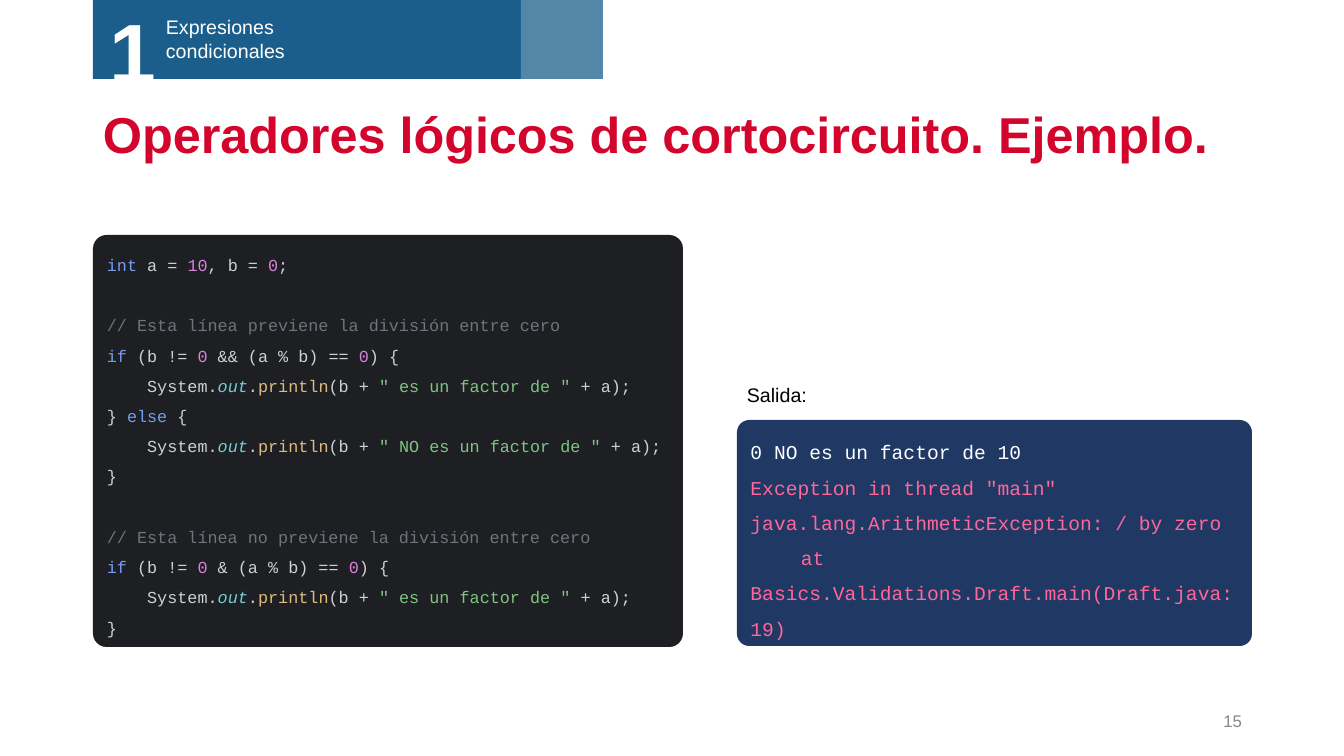
from dataclasses import dataclass
from typing import NamedTuple

from lxml.etree import SubElement
from pptx import Presentation
from pptx.dml.color import RGBColor
from pptx.enum.shapes import MSO_SHAPE as Shape
from pptx.enum.text import MSO_ANCHOR as Anchor, PP_ALIGN as Align
from pptx.oxml.ns import qn
from pptx.util import Emu, Pt

EMU_PER_PX = 12192000 / 1344


@dataclass(frozen=True)
class Theme:
    sans: str = "Arial"
    mono: str = "Courier New"
    title: str = "D3052C"
    band: str = "1B5E8B"
    white: str = "FFFFFF"
    black: str = "000000"
    page: str = "888888"
    editor: str = "1E1F22"
    console: str = "203864"
    error: str = "FF6699"
    keyword: str = "749DED"
    plain: str = "CED0D6"
    number: str = "D981DE"
    comment: str = "6F737A"
    field: str = "72CFD6"
    method: str = "DEBC7E"
    string: str = "7EC482"
    title_size: int = 36
    section_size: int = 60
    body_size: int = 14
    small_size: int = 12


THEME = Theme()


class Box(NamedTuple):
    left: int
    top: int
    width: int
    height: int


class Token(NamedTuple):
    text: str
    color: str = THEME.plain
    italic: bool = False


@dataclass(frozen=True)
class Panel:
    box: Box
    fill: str
    kind: Shape = Shape.RECTANGLE
    corner: float = 0
    opacity: int = 100


@dataclass(frozen=True)
class Label:
    box: Box
    text: str
    size: int
    color: str
    bold: bool = False
    align: Align = Align.LEFT
    anchor: Anchor = Anchor.TOP
    spacing: float = 1.0
    wrap: bool = True


def px(length: int) -> Emu:
    return Emu(round(length * EMU_PER_PX))


def style(paragraph, font: str, size: int, color: str, spacing: float) -> None:
    paragraph.line_spacing = spacing
    paragraph.font.name = font
    paragraph.font.size = Pt(size)
    paragraph.font.color.rgb = RGBColor.from_string(color)


def draw_panel(shapes, panel: Panel):
    shape = shapes.add_shape(panel.kind, *map(px, panel.box))
    shape.shadow.inherit = False
    shape.line.fill.background()
    shape.fill.solid()
    shape.fill.fore_color.rgb = RGBColor.from_string(panel.fill)
    if panel.corner:
        shape.adjustments[0] = panel.corner
    if panel.opacity < 100:
        tint = shape.fill._xPr.find(".//" + qn("a:srgbClr"))
        SubElement(tint, qn("a:alpha"), val=str(panel.opacity * 1000))
    return shape


def draw_label(shapes, label: Label) -> None:
    frame = shapes.add_textbox(*map(px, label.box)).text_frame
    frame.word_wrap = label.wrap
    frame.vertical_anchor = label.anchor
    paragraph = frame.paragraphs[0]
    paragraph.text = label.text
    paragraph.alignment = label.align
    style(paragraph, THEME.sans, label.size, label.color, label.spacing)
    paragraph.font.bold = label.bold


def condition(operator: str) -> list[Token]:
    return [
        Token("if ", THEME.keyword), Token("(b != "), Token("0 ", THEME.number),
        Token(f"{operator} (a % b) == "), Token("0", THEME.number), Token(") {"),
    ]


def print_call(message: str) -> list[Token]:
    return [
        Token("    System."), Token("out", THEME.field, True), Token("."),
        Token("println", THEME.method), Token("(b + "),
        Token(f'" {message} " ', THEME.string), Token("+ a);"),
    ]


CODE: list[list[Token]] = [
    [Token("int ", THEME.keyword), Token("a = "), Token("10", THEME.number),
     Token(", b = "), Token("0", THEME.number), Token(";")],
    [],
    [Token("// Esta línea previene la división entre cero", THEME.comment)],
    condition("&&"),
    print_call("es un factor de"),
    [Token("} "), Token("else ", THEME.keyword), Token("{")],
    print_call("NO es un factor de"),
    [Token("}")],
    [],
    [Token("// Esta línea no previene la división entre cero", THEME.comment)],
    condition("&"),
    print_call("es un factor de"),
    [Token("}")],
]

OUTPUT = [
    Token("0 NO es un factor de 10", THEME.white),
    Token('Exception in thread "main" java.lang.ArithmeticException: / by zero', THEME.error),
    Token("\tat Basics.Validations.Draft.main(Draft.java:19)", THEME.error),
]

BAND = Panel(Box(93, -1, 510, 80), THEME.band)
BAND_END = Panel(Box(521, -1, 82, 80), THEME.white, opacity=25)
EDITOR = Panel(Box(93, 235, 590, 412), THEME.editor, Shape.ROUNDED_RECTANGLE, 0.033)
CONSOLE = Panel(Box(737, 420, 515, 226), THEME.console, Shape.ROUNDED_RECTANGLE, 0.054)

LABELS = [
    Label(Box(93, 94, 1159, 87), "Operadores lógicos de cortocircuito. Ejemplo.",
          THEME.title_size, THEME.title, bold=True, anchor=Anchor.MIDDLE, spacing=0.9),
    Label(Box(950, 701, 302, 40), "15", THEME.small_size, THEME.page,
          align=Align.RIGHT, anchor=Anchor.MIDDLE),
    Label(Box(156, 10, 357, 57), "Expresiones\vcondicionales", THEME.body_size, THEME.white),
    Label(Box(100, -5, 113, 112), "1", THEME.section_size, THEME.white, bold=True),
    Label(Box(737, 378, 81, 34), "Salida:", THEME.body_size, THEME.black, wrap=False),
]


def write_code(frame) -> None:
    frame.word_wrap = True
    frame.vertical_anchor = Anchor.MIDDLE
    paragraph = frame.paragraphs[0]
    paragraph.alignment = Align.LEFT
    style(paragraph, THEME.mono, THEME.small_size, THEME.plain, 1.5)
    for number, line in enumerate(CODE):
        if number:
            paragraph.add_line_break()
        for token in line:
            run = paragraph.add_run()
            run.text = token.text
            run.font.color.rgb = RGBColor.from_string(token.color)
            if token.italic:
                run.font.italic = True


def write_output(frame) -> None:
    frame.word_wrap = True
    frame.vertical_anchor = Anchor.TOP
    for number, line in enumerate(OUTPUT):
        paragraph = frame.add_paragraph() if number else frame.paragraphs[0]
        paragraph.text = line.text
        paragraph.alignment = Align.LEFT
        style(paragraph, THEME.mono, THEME.body_size, line.color, 1.5)


def main() -> None:
    deck = Presentation()
    deck.slide_width, deck.slide_height = px(1344), px(756)
    shapes = deck.slides.add_slide(deck.slide_layouts[6]).shapes
    draw_panel(shapes, BAND)
    draw_panel(shapes, BAND_END)
    write_code(draw_panel(shapes, EDITOR).text_frame)
    write_output(draw_panel(shapes, CONSOLE).text_frame)
    for label in LABELS:
        draw_label(shapes, label)
    deck.save("out.pptx")


if __name__ == "__main__":
    main()
